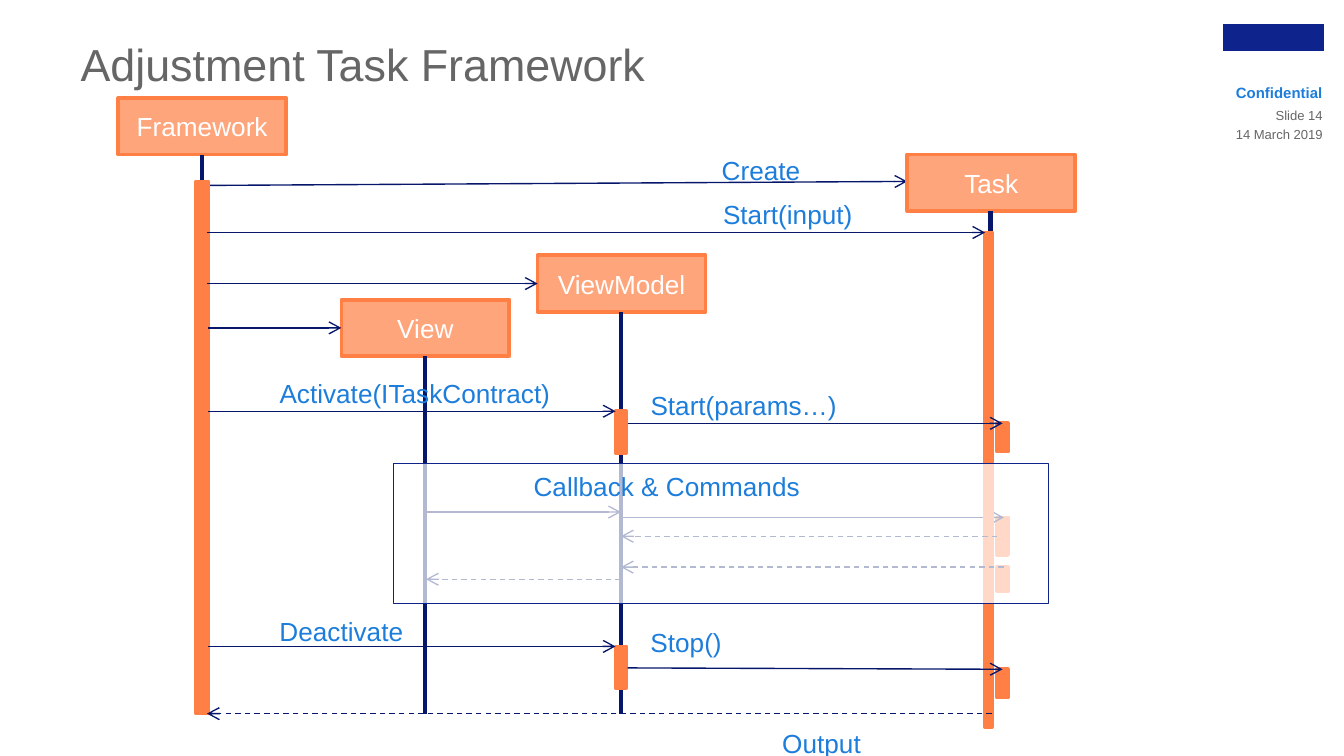
"""Build the Adjustment Task Framework sequence diagram slide."""
from lxml import etree
from pptx import Presentation
from pptx import util as u
from pptx.dml.color import RGBColor
from pptx.enum import dml, shapes, text
from pptx.oxml import ns

PX = 9144
ORANGE = RGBColor(0xFF, 0x7F, 0x45)
NAVY = RGBColor(0x06, 0x16, 0x6A)
ROYAL = RGBColor(0x0F, 0x23, 0x8D)
BLUE = RGBColor(0x1C, 0x7D, 0xDB)
GRAY = RGBColor(0x66, 0x66, 0x66)
WHITE = RGBColor(0xFF, 0xFF, 0xFF)
LEFT, RIGHT = text.PP_ALIGN.LEFT, text.PP_ALIGN.RIGHT

deck = Presentation()
deck.slide_width = 1000 * PX
deck.slide_height = deck.slide_width * 9 // 16
page = deck.slides.add_slide(deck.slide_layouts[6])


def add_box(left, top, width, height, fill=ORANGE, line=ORANGE, weight=2, opacity=100):
    box = page.shapes.add_shape(
        shapes.MSO_SHAPE.RECTANGLE, left * PX, top * PX, width * PX, height * PX)
    box.shadow.inherit = False
    box.fill.solid()
    box.fill.fore_color.rgb = fill
    box.line.color.rgb = line
    box.line.width = u.Pt(weight)
    if opacity < 100:
        color = box.fill._xPr.find(ns.qn("a:solidFill"))[0]
        etree.SubElement(color, ns.qn("a:alpha"), val=str(opacity * 1000))
    return box


def add_line(x1, y1, x2, y2, weight=0.75, dashed=False, arrow=True):
    line = page.shapes.add_connector(
        shapes.MSO_CONNECTOR.STRAIGHT, x1 * PX, y1 * PX, x2 * PX, y2 * PX)
    line.line.color.rgb = NAVY
    line.line.width = u.Pt(weight)
    if dashed:
        line.line.dash_style = dml.MSO_LINE.DASH
    if arrow:
        etree.SubElement(line.line._get_or_add_ln(), ns.qn("a:tailEnd"), type="arrow")
    etree.SubElement(line._element.spPr, ns.qn("a:effectLst"))


add_box(910, 18, 75, 20, ROYAL, ROYAL, 0.5)

for top, height in [(422, 18), (385, 28)]:
    add_box(742, top, 8, height)

for x1, y1, x2, y2, dashed in [
    (150, 138, 675, 135, False),
    (462, 385, 747, 385, False),
    (317, 381, 462, 381, False),
    (462, 431, 317, 431, True),
]:
    add_line(x1, y1, x2, y2, dashed=dashed)

for name, left, top, bottom in [
    ("Framework", 88, 73, 440),
    ("View", 254, 223, 531),
    ("ViewModel", 400, 190, 531),
    ("Task", 675, 115, 440),
]:
    box = add_box(left, top, 125, 42, opacity=70)
    frame = box.text_frame
    frame.text = name
    frame.margin_left = frame.margin_right = frame.margin_top = frame.margin_bottom = 0
    frame.vertical_anchor = text.MSO_ANCHOR.MIDDLE
    para = frame.paragraphs[0]
    para.alignment = text.PP_ALIGN.CENTER
    font = para.runs[0].font
    font.name, font.size, font.color.rgb = "Arial", u.Pt(14), WHITE
    center = left + 62
    add_line(center, top + 42, center, bottom, weight=2.25, arrow=False)

for left, top, width, height in [
    (146, 135, 9, 396),
    (733, 173, 5, 368),
    (458, 306, 8, 31),
    (458, 481, 8, 31),
    (742, 315, 8, 21),
    (742, 498, 8, 21),
]:
    add_box(left, top, width, height)

for x1, y1, x2, y2, dashed in [
    (154, 173, 733, 173, False),
    (154, 211, 400, 211, False),
    (155, 244, 254, 244, False),
    (155, 306, 458, 306, False),
    (467, 315, 746, 315, False),
    (742, 399, 462, 399, True),
    (747, 422, 462, 422, True),
    (155, 481, 458, 481, False),
    (467, 497, 746, 498, False),
    (738, 531, 154, 531, True),
]:
    add_line(x1, y1, x2, y2, dashed=dashed)

add_box(293, 345, 487, 104, WHITE, ROYAL, 0.5, opacity=70)

labels = [
    ("Adjustment Task Framework", 60, 23, 816, 49, 24, GRAY, LEFT),
    ("Confidential", 902, 62, 82, 10, 8, BLUE, RIGHT),
    ("Slide 14", 902, 80, 82, 10, 7, GRAY, RIGHT),
    ("14 March 2019", 902, 94, 82, 10, 7, GRAY, RIGHT),
]
labels += [(words, left, top, width, 24, 14, BLUE, LEFT) for words, left, top, width in [
    ("Create", 537, 115, 59),
    ("Start(input)", 538, 148, 97),
    ("Activate(ITaskContract)", 208, 281, 202),
    ("Start(params…)", 484, 290, 145),
    ("Callback & Commands", 397, 350, 199),
    ("Deactivate", 208, 458, 93),
    ("Stop()", 484, 466, 54),
    ("Output", 582, 541, 59),
]]
for words, left, top, width, height, size, color, align in labels:
    box = page.shapes.add_textbox(left * PX, top * PX, width * PX, height * PX)
    frame = box.text_frame
    frame.text = words
    frame.word_wrap = size != 14
    if size == 14:
        frame.auto_size = text.MSO_AUTO_SIZE.SHAPE_TO_FIT_TEXT
    frame.margin_left = frame.margin_right = frame.margin_top = frame.margin_bottom = 0
    frame.vertical_anchor = text.MSO_ANCHOR.MIDDLE if size == 24 else text.MSO_ANCHOR.TOP
    para = frame.paragraphs[0]
    para.alignment = align
    font = para.runs[0].font
    font.name, font.size, font.color.rgb = "Arial", u.Pt(size), color
    font.bold = words == "Confidential"

deck.save("out.pptx")
